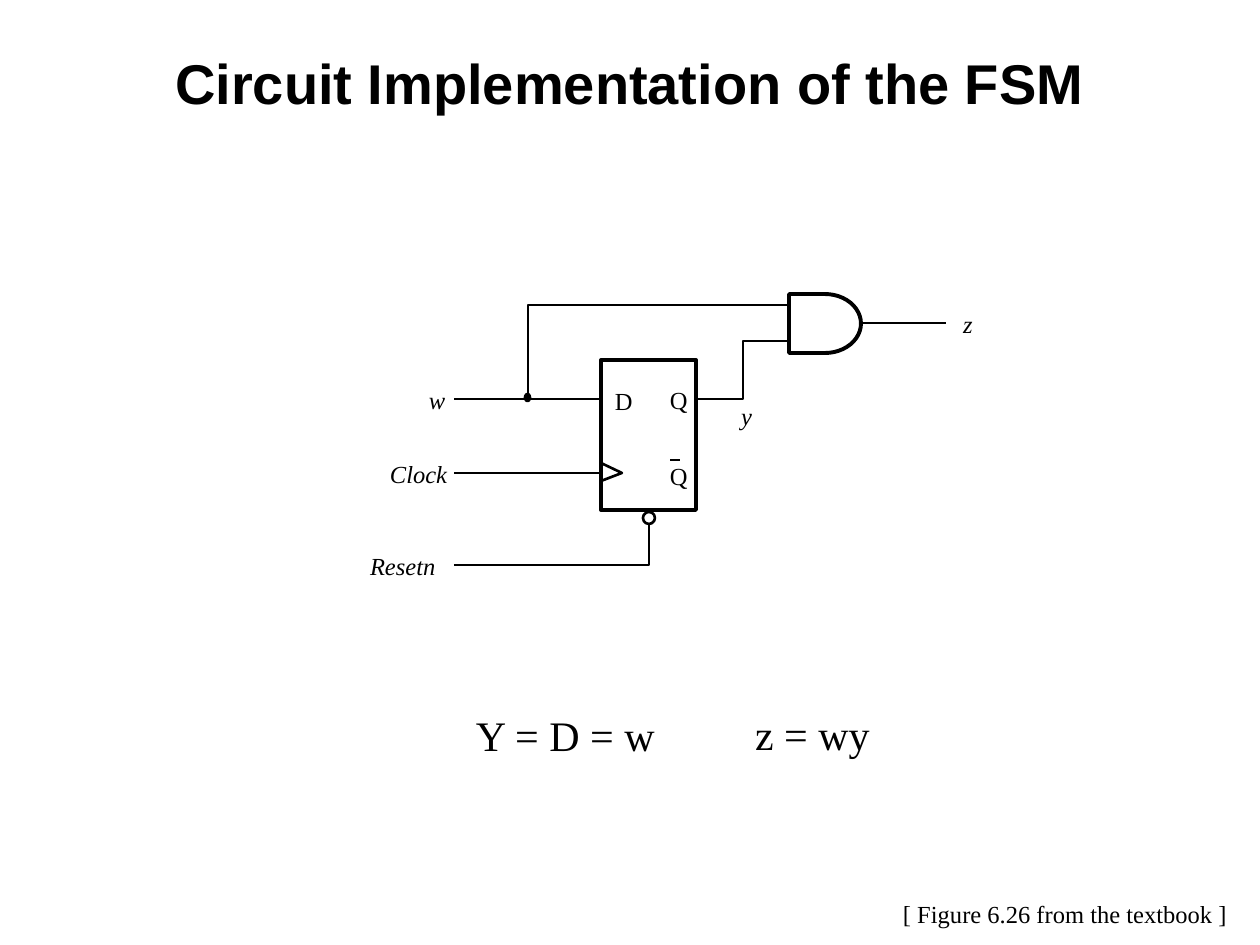
from lxml import etree
from pptx import Presentation, util as u
from pptx.dml.color import RGBColor
from pptx.enum import shapes, text
from pptx.oxml import ns

PX = u.Inches(1) / 126
BLACK = RGBColor(0, 0, 0)
WHITE = RGBColor(255, 255, 255)
SERIF = "Times New Roman"


def px(*lengths):
    return [round(n * PX) for n in lengths]


def add_wire(points):
    """Draw a straight connector for two points, or an open outline for more."""
    pts = [px(*point) for point in points]
    if len(pts) == 2:
        s = sl.shapes.add_connector(shapes.MSO_CONNECTOR.STRAIGHT, *pts[0], *pts[1])
        etree.SubElement(s._element.spPr, ns.qn("a:effectLst"))
    else:
        builder = sl.shapes.build_freeform(*pts[0], scale=1.0)
        builder.add_line_segments(pts[1:], close=False)
        s = builder.convert_to_shape()
        s.fill.background()
        s.shadow.inherit = False
    s.line.color.rgb = BLACK
    s.line.width = u.Pt(1.5)


prs = Presentation()
prs.slide_width, prs.slide_height = px(1260, 945)
sl = prs.slides.add_slide(prs.slide_layouts[6])

wires = [
    [(454, 565), (649, 565), (649, 510)],              # Resetn
    [(601, 473), (454, 473)],                          # Clock
    [(601, 399), (454, 399)],                          # w to D
    [(788, 305), (528, 305), (528, 399)],              # w to gate
    [(788, 341), (743, 341), (743, 399), (696, 399)],  # Q to gate
    [(946, 323), (863, 323)],                          # z
]
for wire in wires:
    add_wire(wire)

# Junction dot, flip-flop, reset bubble, AND gate
parts = [
    (shapes.MSO_SHAPE.OVAL, (525, 394, 5, 7), BLACK, 1.5),
    (shapes.MSO_SHAPE.RECTANGLE, (601, 360, 95, 150), WHITE, 2.25),
    (shapes.MSO_SHAPE.OVAL, (643, 512, 12, 12), WHITE, 1.5),
    (shapes.MSO_SHAPE.FLOWCHART_DELAY, (789, 294, 72, 59), WHITE, 2.25),
]
for kind, box, fill, weight in parts:
    s = sl.shapes.add_shape(kind, *px(*box))
    s.shadow.inherit = False
    s.fill.solid()
    s.fill.fore_color.rgb = fill
    s.line.color.rgb = BLACK
    s.line.width = u.Pt(weight)

add_wire([(601, 481), (622, 473), (601, 463)])  # clock input triangle
add_wire([(680, 460), (670, 460)])              # bar over Q

signal = {"size": u.Pt(14), "name": SERIF, "italic": True}
plain = {"size": u.Pt(14), "name": SERIF}
equation = {"size": u.Pt(24), "name": SERIF}
heading = {"size": u.Pt(32), "name": "Arial", "bold": True}

# Text, box, padding (horizontal, vertical), format
labels = [
    ("Clock", (390, 459, 64, 29), (0, 0), signal),
    ("Resetn", (370, 551, 72, 29), (0, 0), signal),
    ("w", (429, 385, 24, 29), (0, 0), signal),
    ("z", (963, 309, 18, 29), (0, 0), signal),
    ("y", (741, 401, 18, 29), (0, 0), signal),
    ("D", (615, 386, 24, 29), (0, 0), plain),
    ("Q", (670, 385, 25, 29), (0, 0), plain),
    ("Q", (670, 461, 25, 29), (0, 0), plain),
    ("[ Figure 6.26 from the textbook ]", (890, 893, 360, 43), (13, 6), plain),
    ("Circuit Implementation of the FSM", (0, 42, 1260, 94), (13, 6), heading),
    ("Y = D = w", (463, 704, 215, 63), (13, 6), equation),
    ("z = wy", (742, 703, 155, 63), (13, 6), equation),
]
for words, box, (pad_x, pad_y), style in labels:
    tf = sl.shapes.add_textbox(*px(*box)).text_frame
    tf.margin_left, tf.margin_right, tf.margin_top, tf.margin_bottom = px(
        pad_x, pad_x, pad_y, pad_y)
    tf.word_wrap = True
    p = tf.paragraphs[0]
    p.alignment = text.PP_ALIGN.CENTER if style is heading else text.PP_ALIGN.LEFT
    r = p.add_run()
    r.text = words
    r.font.color.rgb = BLACK
    for name, value in style.items():
        setattr(r.font, name, value)

prs.save("out.pptx")
